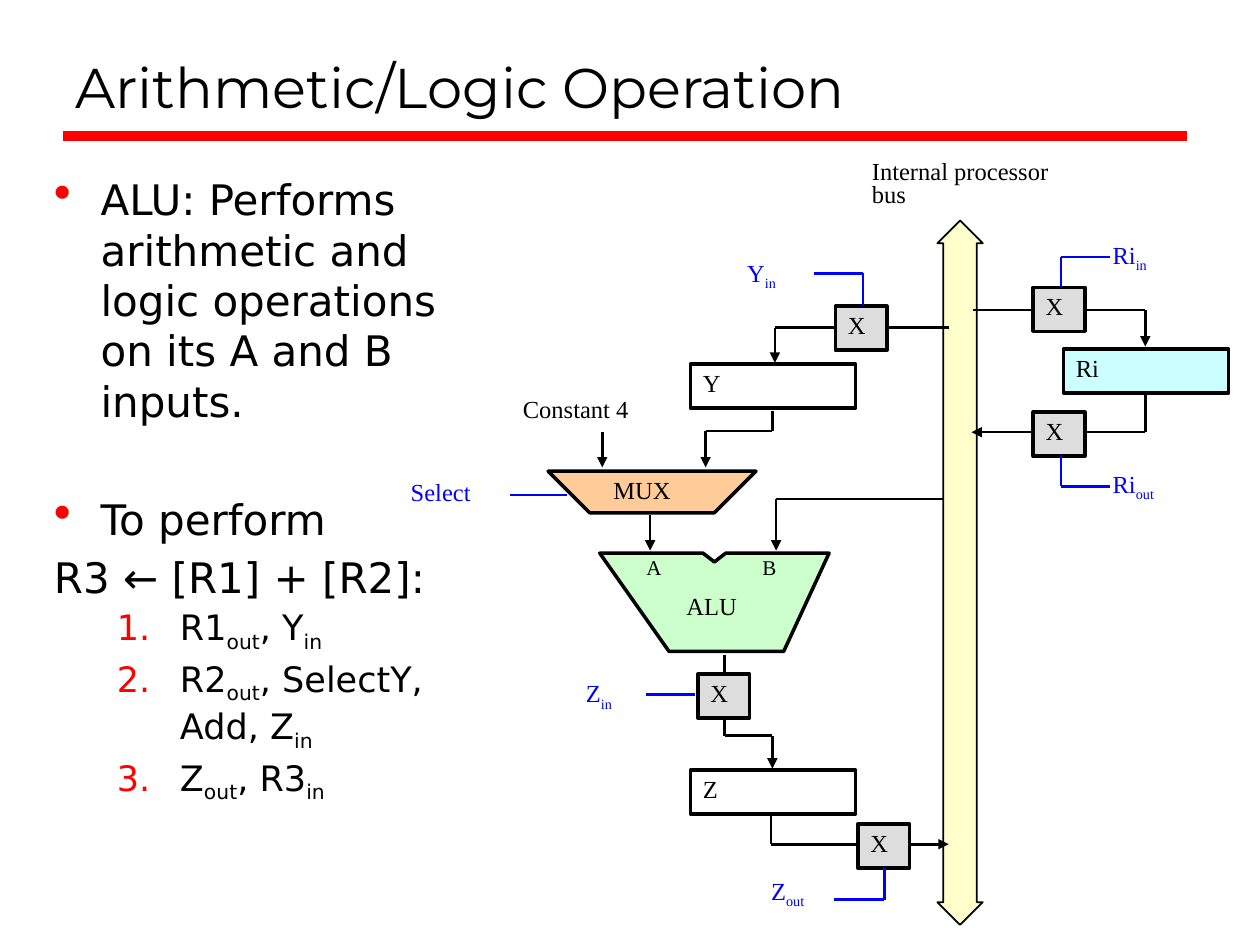
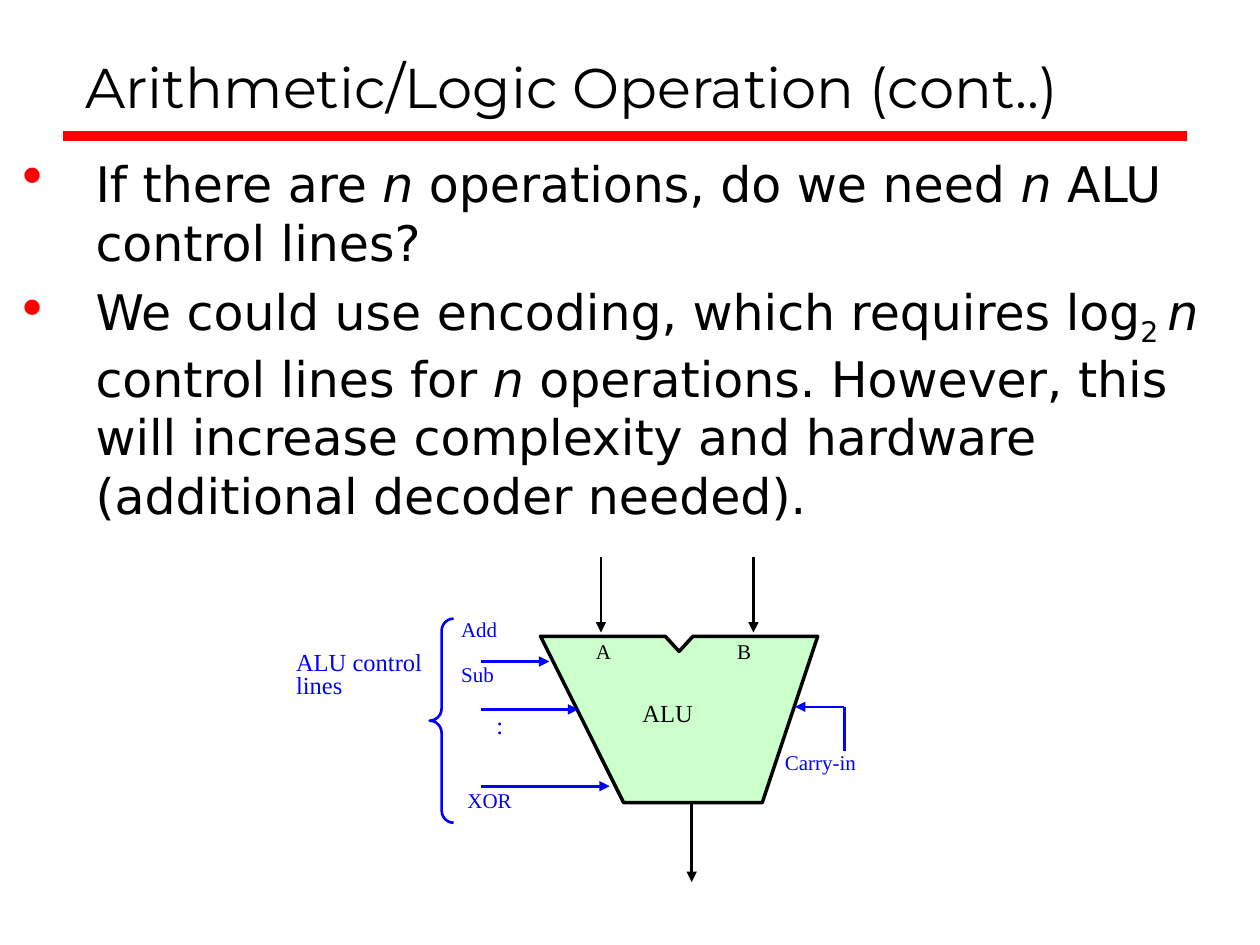
from lxml import etree
from pptx import Presentation
from pptx.dml.color import RGBColor
from pptx.enum.shapes import MSO_CONNECTOR, MSO_SHAPE
from pptx.enum.text import MSO_ANCHOR, PP_ALIGN
from pptx.oxml.ns import qn
from pptx.util import Inches, Pt

LINE = MSO_CONNECTOR.STRAIGHT
RECT = MSO_SHAPE.RECTANGLE
MUX = MSO_SHAPE.FLOWCHART_MANUAL_OPERATION
BUS = MSO_SHAPE.UP_DOWN_ARROW
BRACE = MSO_SHAPE.LEFT_BRACE
TOP, BOTTOM, LEFT = MSO_ANCHOR.TOP, MSO_ANCHOR.BOTTOM, PP_ALIGN.LEFT

BLACK = RGBColor(0x00, 0x00, 0x00)
WHITE = RGBColor(0xFF, 0xFF, 0xFF)
RED = RGBColor(0xFF, 0x00, 0x00)
BLUE = RGBColor(0x00, 0x00, 0xFF)
CREAM = RGBColor(0xFF, 0xFF, 0xCC)
PEACH = RGBColor(0xFF, 0xCC, 0x99)
GREEN = RGBColor(0xCC, 0xFF, 0xCC)
CYAN = RGBColor(0xCC, 0xFF, 0xFF)
GREY = RGBColor(0xDD, 0xDD, 0xDD)

HEAD, BODY, NOTE = "Montserrat", "DejaVu Sans", "Times New Roman"
TIGHT, ROOMY = (0.01, 0.01), (0.1, 0.03)
SUB, ITALIC = "sub", "italic"

# Paragraphs: mark, size, indent, hang, space before, runs as (text, style)
STEPS = [
    ("dot", 24, 0.37, 0.37, 4.8,
     [("ALU: Performs arithmetic and logic operations on its A and B inputs.", None)]),
    ("dot", 24, 0.37, 0.37, 38.5, [("To perform", None)]),
    (None, 24, 0.37, 0.37, 4.8, [("R3 ← [R1] + [R2]:", None)]),
    ("num", 20, 1, 0.5, 2,
     [("R1", None), ("out", SUB), (", Y", None), ("in", SUB)]),
    ("num", 20, 1, 0.5, 2,
     [("R2", None), ("out", SUB), (", SelectY, Add, Z", None), ("in", SUB)]),
    ("num", 20, 1, 0.5, 2,
     [("Z", None), ("out", SUB), (", R3", None), ("in", SUB)]),
]
CODING = [
    ("dot", 28, 0.58, 0.58, 5.6,
     [("If there are ", None), ("n", ITALIC), (" operations, do we need ", None),
      ("n", ITALIC), (" ALU control lines?", None)]),
    ("dot", 28, 0.58, 0.58, 5.6,
     [("We could use encoding, which requires log", None), ("2 ", SUB),
      ("n", ITALIC), (" control lines for ", None), ("n", ITALIC),
      (" operations. However, this will increase complexity and hardware "
       "(additional decoder needed).", None)]),
]

# Wires: points, arrow at the last point
DATA = [
    ([(7.72, 2.46), (9.09, 2.46), (9.09, 2.75)], True),
    ([(9.09, 3.13), (9.09, 3.43), (7.71, 3.43)], True),
    ([(7.53, 2.6), (6.15, 2.6), (6.15, 2.88)], True),
    ([(6.13, 3.26), (6.13, 3.42), (5.6, 3.42), (5.6, 3.71)], True),
    ([(4.78, 3.43), (4.78, 3.71)], True),
    ([(5.16, 4.09), (5.16, 4.37)], True),
    ([(7.49, 3.96), (6.16, 3.96), (6.16, 4.37)], True),
    ([(5.75, 5.2), (5.75, 5.84), (6.13, 5.84), (6.13, 6.1)], True),
    ([(6.12, 6.47), (6.12, 6.7), (7.53, 6.7)], True),
]
GATING = [
    ([(6.46, 2.17), (6.85, 2.17), (6.85, 2.42)], False),
    ([(8.81, 2.04), (8.42, 2.04), (8.42, 2.28)], False),
    ([(8.81, 3.86), (8.42, 3.86), (8.42, 3.61)], False),
    ([(4.05, 3.93), (4.5, 3.93)], False),
    ([(5.13, 5.51), (5.52, 5.51)], False),
    ([(6.62, 7.14), (7.02, 7.14), (7.02, 6.89)], False),
]
PORTS = [
    ([(4.77, 4.42), (4.77, 5.02)], True),
    ([(5.98, 4.42), (5.98, 5.02)], True),
    ([(5.49, 6.37), (5.49, 7)], True),
]
CONTROL = [([(3.82, y), (x, y)], True)
           for x, y in [(4.36, 5.25), (4.59, 5.63), (4.84, 6.24)]]
CONTROL.append(([(6.7, 5.96), (6.7, 5.61), (6.31, 5.61)], True))

REGS = [("Y", 5.48, 2.89, WHITE), ("Z", 5.48, 6.11, WHITE), ("Ri", 8.44, 2.77, CYAN)]
REG_W, GATE_W, BOX_H = 1.31, 0.41, 0.35
GATES = [(8.2, 2.28), (8.2, 3.27), (6.63, 2.43), (5.54, 5.35), (6.81, 6.54)]

ALU_SMALL = [(6.58, 4.39), (6.22, 5.17), (5.31, 5.17), (4.76, 4.39),
             (5.58, 4.39), (5.67, 4.46), (5.76, 4.39)]
ALU_LARGE = [(6.49, 5.05), (6.05, 6.37), (4.95, 6.37), (4.29, 5.05),
             (5.28, 5.05), (5.39, 5.17), (5.5, 5.05)]

# Labels: text, subscript, place, size, colour, line spacing, inset
PATH_TEXT = [
    ("Internal processor bus", "", (6.91, 1.27, 1.45, 0.43), 14, BLACK, 0.8, TIGHT),
    ("Constant 4", "", (4.14, 3.16, 1.17, 0.23), 14, BLACK, 0.8, TIGHT),
    ("Select", "", (3.25, 3.82, 0.89, 0.23), 14, BLUE, 0.8, TIGHT),
    ("MUX", "", (4.77, 3.74, 0.8, 0.32), 14, BLACK, 1, ROOMY),
    ("ALU", "", (5.35, 4.66, 0.8, 0.32), 14, BLACK, 1, ROOMY),
    ("A", "", (5.12, 4.39, 0.27, 0.24), 12, BLACK, 1, TIGHT),
    ("B", "", (6.04, 4.39, 0.27, 0.24), 12, BLACK, 1, TIGHT),
]
PATH_TEXT += [(name, sub, (x, y, 0.52, 0.23), 14, BLUE, 0.8, TIGHT)
              for name, sub, x, y in [
                  ("Y", "in", 5.92, 2.06), ("Ri", "in", 8.82, 1.92),
                  ("Ri", "out", 8.82, 3.74), ("Z", "in", 4.64, 5.4),
                  ("Z", "out", 6.11, 6.97)]]
UNIT_TEXT = [
    ("A", "", (4.72, 5.06, 0.33, 0.41), 12, BLACK, 1, TIGHT),
    ("B", "", (5.84, 5.06, 0.33, 0.41), 12, BLACK, 1, TIGHT),
    ("ALU", "", (5, 5.51, 0.97, 0.54), 14, BLACK, 1, ROOMY),
    ("Add", "", (3.65, 4.92, 0.49, 0.33), 12, BLUE, 0.8, TIGHT),
    ("Sub", "", (3.65, 5.28, 0.49, 0.33), 12, BLUE, 0.8, TIGHT),
    (":", "", (3.93, 5.67, 0.49, 0.38), 14, BLUE, 0.8, TIGHT),
    ("XOR", "", (3.7, 6.28, 0.55, 0.33), 12, BLUE, 0.8, TIGHT),
    ("ALU control lines", "", (2.34, 5.17, 1.07, 1.06), 14, BLUE, 0.8, TIGHT),
    ("Carry-in", "", (6.22, 5.98, 0.95, 0.33), 12, BLUE, 0.8, TIGHT),
]


def inches(nums):
    return [Inches(n) for n in nums]


def add_run(para, text, font, size, color=BLACK, style=None):
    run = para.add_run()
    run.text = text
    run.font.name, run.font.size = font, Pt(size)
    run.font.color.rgb = color
    if style == ITALIC:
        run.font.italic = True
    if style == SUB:
        run.font._element.set("baseline", "-25000")


def set_frame(shape, inset, anchor=TOP):
    frame = shape.text_frame
    frame.word_wrap, frame.vertical_anchor = True, anchor
    frame.margin_left = frame.margin_right = Inches(inset[0])
    frame.margin_top = frame.margin_bottom = Inches(inset[1])
    para = frame.paragraphs[0]
    para.alignment = LEFT
    return para


def paint(shape, fill, color=BLACK, width=2):
    shape.shadow.inherit = False
    if fill is None:
        shape.fill.background()
    else:
        shape.fill.solid()
        shape.fill.fore_color.rgb = fill
    shape.line.color.rgb, shape.line.width = color, Pt(width)


def add_line(slide, start, end, color, width=1.5, arrow=False):
    line = slide.shapes.add_connector(LINE, *inches(start + end))
    line.line.color.rgb, line.line.width = color, Pt(width)
    if arrow:
        etree.SubElement(line.line._get_or_add_ln(), qn("a:tailEnd"), type="triangle")
    etree.SubElement(line._element.spPr, qn("a:effectLst"))


def add_wires(slide, wires, color):
    for points, arrow in wires:
        last = len(points) - 2
        for i, (start, end) in enumerate(zip(points, points[1:])):
            add_line(slide, start, end, color, arrow=arrow and i == last)


def add_box(slide, text, place, fill):
    box = slide.shapes.add_shape(RECT, *inches(place))
    paint(box, fill)
    add_run(set_frame(box, ROOMY), text, NOTE, 14)


def add_alu(slide, points):
    start, *rest = [tuple(inches(p)) for p in points]
    pen = slide.shapes.build_freeform(*start)
    pen.add_line_segments(rest, close=True)
    paint(pen.convert_to_shape(), GREEN)


def add_labels(slide, labels):
    for text, sub, place, size, color, space, inset in labels:
        para = set_frame(slide.shapes.add_textbox(*inches(place)), inset)
        para.line_spacing = space
        add_run(para, text, NOTE, size, color)
        if sub:
            add_run(para, sub, NOTE, size, color, SUB)


def set_mark(para, mark, left, hang):
    """Set the hanging indent and the red bullet or number."""
    props = para._p.get_or_add_pPr()
    props.set("marL", str(Inches(left)))
    props.set("indent", str(-Inches(hang)))
    if mark is None:
        etree.SubElement(props, qn("a:buNone"))
        return
    tint = etree.SubElement(props, qn("a:buClr"))
    etree.SubElement(tint, qn("a:srgbClr"), val=str(RED))
    if mark == "dot":
        etree.SubElement(props, qn("a:buSzPct"), val="120000")
        etree.SubElement(props, qn("a:buChar"), char="•")
    else:
        etree.SubElement(props, qn("a:buAutoNum"), type="arabicPeriod")


def add_body(slide, place, paras):
    box = slide.shapes.add_textbox(*inches(place))
    para = set_frame(box, (0.1, 0.05))
    for i, (mark, size, left, hang, gap, runs) in enumerate(paras):
        if i:
            para = box.text_frame.add_paragraph()
        para.space_before = Pt(gap)
        if mark == "num":
            para.level = 1
        set_mark(para, mark, left, hang)
        for text, style in runs:
            add_run(para, text, BODY, size, style=style)


def add_slide(deck, title, left):
    """Add a slide with the shared title style and red rule."""
    slide = deck.slides.add_slide(deck.slide_layouts[5])
    head = slide.shapes.title
    head.left, head.top, head.width, head.height = inches((left, 0.17, 9, 0.83))
    add_run(set_frame(head, (0.1, 0.05), BOTTOM), title, HEAD, 32)
    add_line(slide, (0.5, 1.08), (9.42, 1.08), RED, 6)
    return slide


def draw_path(deck):
    slide = add_slide(deck, "Arithmetic/Logic Operation", 0.5)
    add_body(slide, (0.33, 1.33, 3.42, 5.6), STEPS)
    bus = slide.shapes.add_shape(BUS, *inches((7.44, 1.75, 0.36, 5.59)))
    bus.adjustments[0], bus.adjustments[1] = 0.51, 0.74
    paint(bus, CREAM, width=1)
    add_wires(slide, DATA, BLACK)
    mux = slide.shapes.add_shape(MUX, *inches((4.35, 3.74, 1.65, 0.33)))
    paint(mux, PEACH)
    add_alu(slide, ALU_SMALL)
    for name, x, y, fill in REGS:
        add_box(slide, name, (x, y, REG_W, BOX_H), fill)
    for x, y in GATES:
        add_box(slide, "X", (x, y, GATE_W, BOX_H), GREY)
    add_wires(slide, GATING, BLUE)
    add_labels(slide, PATH_TEXT)


def draw_unit(deck):
    slide = add_slide(deck, "Arithmetic/Logic Operation (cont..)", 0.58)
    add_body(slide, (0.08, 1.17, 9.92, 3.08), CODING)
    add_alu(slide, ALU_LARGE)
    add_wires(slide, PORTS, BLACK)
    add_wires(slide, CONTROL, BLUE)
    brace = slide.shapes.add_shape(BRACE, *inches((3.41, 4.91, 0.19, 1.62)))
    brace.adjustments[0], brace.adjustments[1] = 0.51, 0.5
    paint(brace, None, BLUE, 1.5)
    add_labels(slide, UNIT_TEXT)


def main():
    deck = Presentation()
    deck.slide_width, deck.slide_height = inches((10, 7.5))
    draw_path(deck)
    draw_unit(deck)
    deck.save("out.pptx")


if __name__ == "__main__":
    main()
